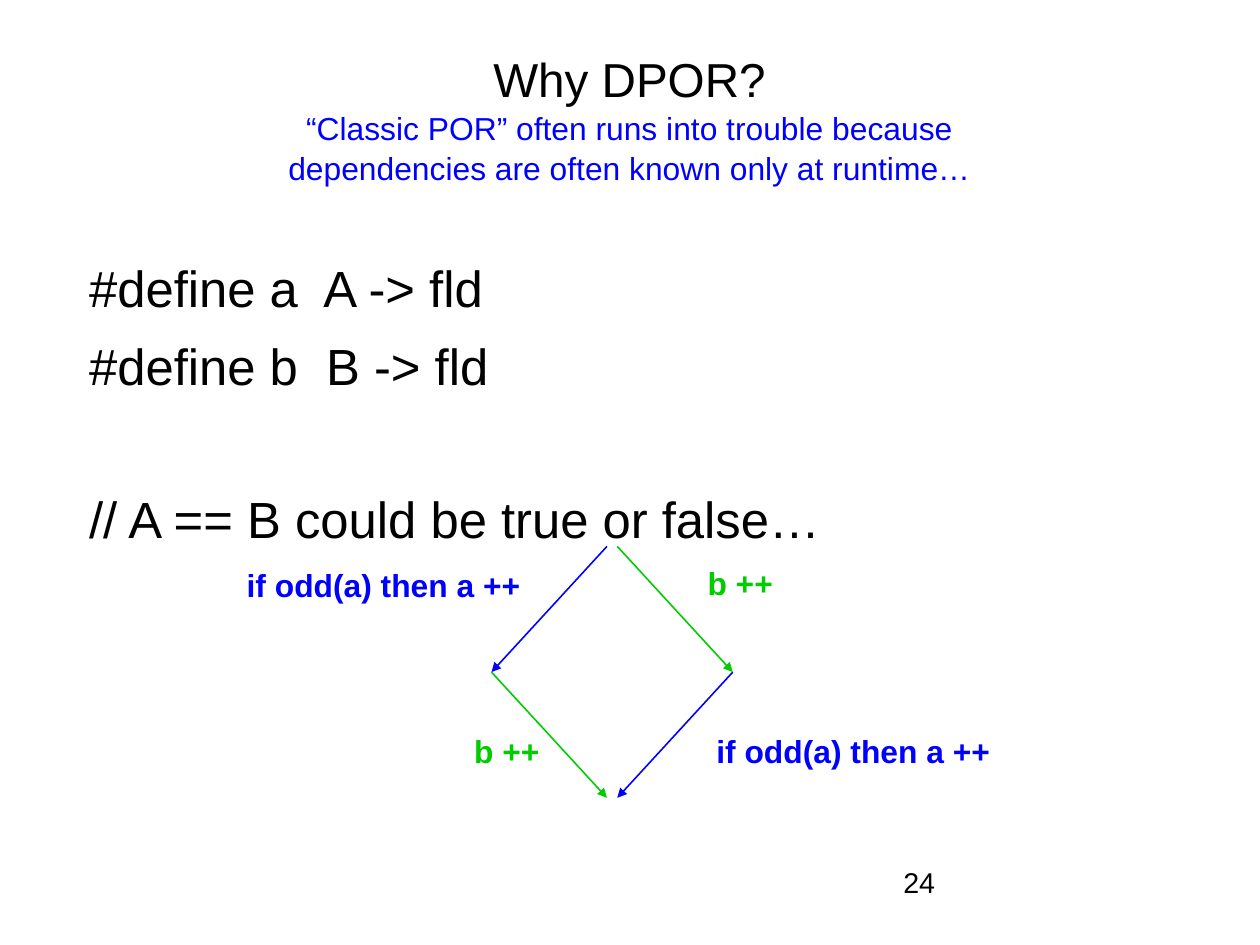
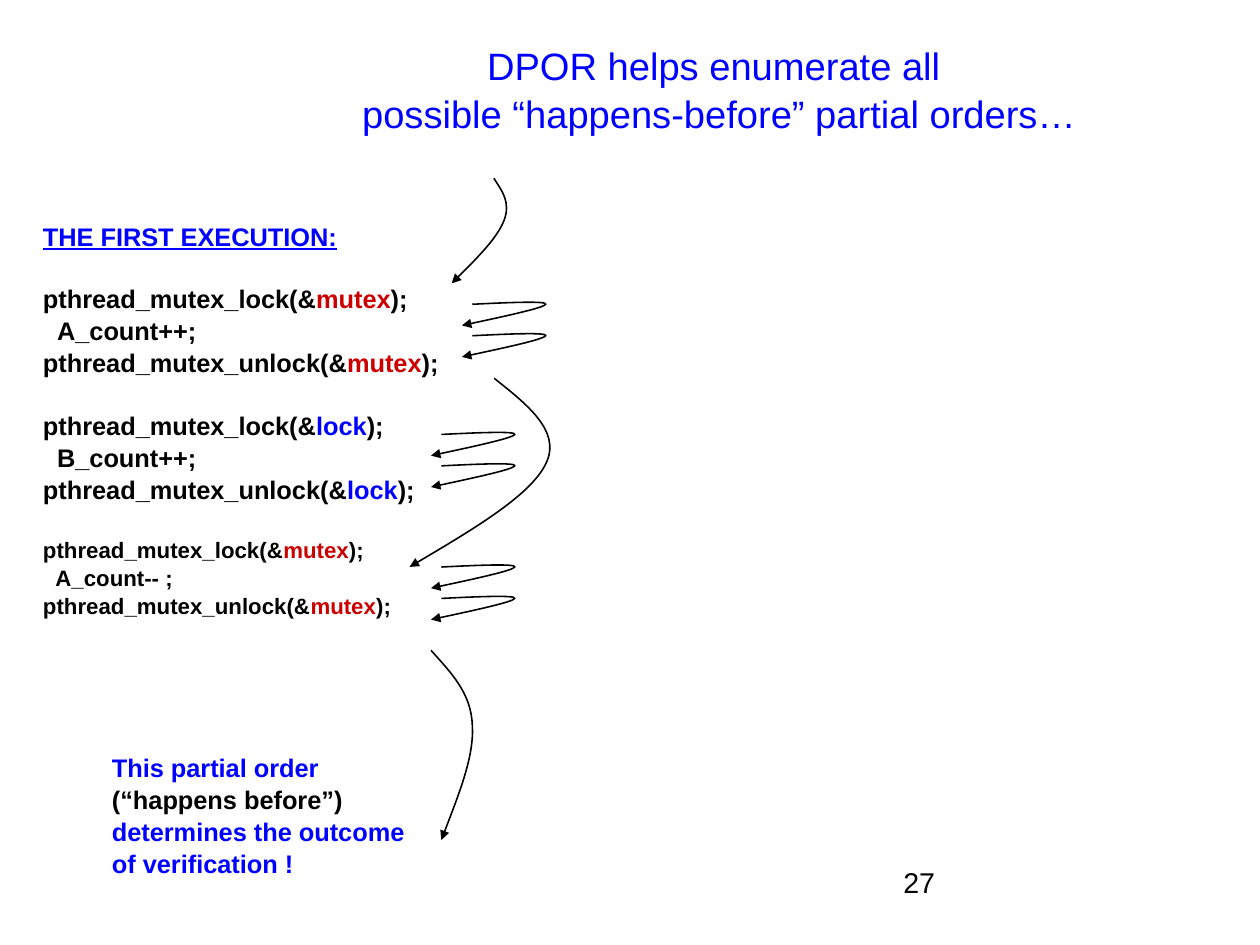
import lxml.etree
import pptx
import pptx.dml.color
import pptx.enum.shapes
import pptx.enum.text
import pptx.oxml.ns
import pptx.util

Pt = pptx.util.Pt
qn = pptx.oxml.ns.qn

COLORS = {"black": "000000", "blue": "0000FF", "green": "00CC00", "red": "CC0000"}
FONT = "Arial"
LINE_SPACING = 1.05
SLIDE_SIZE = (793.7, 595.3)
PAGE_NUMBER_BOX = (569, 544, 184, 41)

# Curves are a start point and cubic segments, relative to their top left.
LOOP = [(6.5, 2.2), (30, 1), (54, 0), (52.8, 2.2), (51.5, 4.4), (26, 10), (0, 15.5)]
LOOP_STEP = 19.8
LOOP_PAIRS = [(291, 189.5), (271.5, 271.5), (271.5, 355)]
LONG_CURVES = [
    ((284.5, 112.3), [(26.6, 0), (31.7, 8), (37.4, 15), (33, 26.6),
                      (28.8, 37.4), (14.4, 52), (0, 66.2)]),
    ((258, 238.3), [(53.3, 0), (74.2, 16.6), (95, 33), (86.4, 52.6),
                    (77.8, 72.7), (39, 95.8), (0, 118.8)]),
    ((271.5, 409.7), [(0, 0), (12.2, 13.7), (25.2, 26.6), (26, 46.8),
                      (27.4, 66.2), (16.6, 93), (6.5, 119.5)]),
]


def rgb(color):
    return pptx.dml.color.RGBColor.from_string(COLORS[color])


def add_runs(paragraph, runs, size, bold=False, underline=False):
    """Add (text, color[, size]) runs; a newline becomes a line break."""
    for text, color, *own_size in runs:
        for number, part in enumerate(text.split("\n")):
            if number:
                paragraph.add_line_break()
            run = paragraph.add_run()
            run.text = part
            run.font.name = FONT
            run.font.size = Pt(own_size[0] if own_size else size)
            run.font.bold = bold
            run.font.underline = underline
            run.font.color.rgb = rgb(color)


def set_frame(frame, inset=True):
    frame.word_wrap = True
    frame.auto_size = pptx.enum.text.MSO_AUTO_SIZE.NONE
    frame.margin_left = frame.margin_right = Pt(7.2 if inset else 0)
    frame.margin_top = frame.margin_bottom = Pt(3.6 if inset else 0)


def add_text(slide, box, paragraphs, size, bold=False, inset=True):
    """Add a text box of dicts with runs and optional size, before, indent, underline."""
    frame = slide.shapes.add_textbox(*map(Pt, box)).text_frame
    set_frame(frame, inset)
    for number, content in enumerate(paragraphs):
        paragraph = frame.add_paragraph() if number else frame.paragraphs[0]
        paragraph.line_spacing = LINE_SPACING
        paragraph.space_before = Pt(content.get("before", 0))
        if "indent" in content:
            paragraph._p.get_or_add_pPr().set("marL", str(Pt(content["indent"])))
        add_runs(paragraph, content["runs"], content.get("size", size),
                 bold, content.get("underline", False))


def add_slide(deck, title_box, title_runs, title_size, page):
    slide = deck.slides.add_slide(deck.slide_layouts[5])
    title = slide.shapes.title
    title.left, title.top, title.width, title.height = map(Pt, title_box)
    set_frame(title.text_frame)
    title.text_frame.vertical_anchor = pptx.enum.text.MSO_ANCHOR.MIDDLE
    paragraph = title.text_frame.paragraphs[0]
    paragraph.alignment = pptx.enum.text.PP_ALIGN.CENTER
    paragraph.line_spacing = LINE_SPACING
    add_runs(paragraph, title_runs, title_size)
    add_text(slide, PAGE_NUMBER_BOX, [{"runs": [(page, "black")]}], 18, inset=False)
    return slide


def style_arrow(arrow, color):
    arrow.line.color.rgb = rgb(color)
    arrow.line.width = Pt(1)
    outline = arrow._element.find(".//" + qn("a:ln"))
    lxml.etree.SubElement(outline, qn("a:tailEnd"), type="triangle")


def add_straight_arrow(slide, start, end, color):
    arrow = slide.shapes.add_connector(
        pptx.enum.shapes.MSO_CONNECTOR.STRAIGHT, *map(Pt, (*start, *end)))
    style_arrow(arrow, color)
    lxml.etree.SubElement(arrow._element.spPr, qn("a:effectLst"))


def add_curved_arrow(slide, origin, points):
    start, *rest = [(Pt(origin[0] + x), Pt(origin[1] + y)) for x, y in points]
    builder = slide.shapes.build_freeform(*start)
    builder.add_line_segments(rest, close=False)
    arrow = builder.convert_to_shape()
    arrow.shadow.inherit = False
    arrow.fill.background()
    style_arrow(arrow, "black")
    # Turn every three straight segments into one cubic segment.
    outline = arrow._element.find(".//" + qn("a:path"))
    segments = outline.findall(qn("a:lnTo"))
    for first in range(0, len(segments), 3):
        cubic = lxml.etree.SubElement(outline, qn("a:cubicBezTo"))
        for segment in segments[first:first + 3]:
            cubic.append(segment[0])
            outline.remove(segment)


def add_interleaving_diamond(slide, box):
    """Draw both orders of the two steps, as arrows down a split diamond."""
    left, top, width, height = box
    gap = 6.5
    right, bottom, middle = left + width, top + height, top + height / 2
    inner_left, inner_right = left + (width - gap) / 2, left + (width + gap) / 2
    for start, end, color in [
        ((inner_left, top), (left, middle), "blue"),
        ((right, middle), (inner_right, bottom), "blue"),
        ((inner_right, top), (right, middle), "green"),
        ((left, middle), (inner_left, bottom), "green"),
    ]:
        add_straight_arrow(slide, start, end, color)
    odd_step, plain_step = ("if odd(a) then a ++", "blue"), ("b ++", "green")
    for x, y, step, label_width in [
        (-161.3, 7.2, odd_step, 196), (129, 6.4, plain_step, 65),
        (-18, 112.3, plain_step, 65), (134.6, 112.3, odd_step, 196),
    ]:
        add_text(slide, (left + x, top + y, label_width, 32),
                 [{"runs": [step]}], 20, bold=True)


def critical_section(lock, color, statement, size, indent):
    """Return the paragraphs of one locked statement."""
    def call(name):
        return [(f"pthread_mutex_{name}(&", "black"), (lock, color), (");", "black")]

    return [
        {"runs": call("lock"), "size": size, "before": 19.3},
        {"runs": [(statement, "black")], "size": size, "indent": indent},
        {"runs": call("unlock"), "size": size},
    ]


def add_execution(slide, box):
    heading = {"runs": [("THE FIRST EXECUTION:", "blue")], "underline": True}
    add_text(slide, box, [
        heading,
        *critical_section("mutex", "red", "A_count++;", 16, 8.9),
        *critical_section("lock", "blue", "B_count++;", 16, 8.9),
        *critical_section("mutex", "red", "A_count-- ;", 14, 7.8),
    ], 16, bold=True)


def add_happens_before_arrows(slide):
    for origin, points in LONG_CURVES:
        add_curved_arrow(slide, origin, points)
    for x, y in LOOP_PAIRS:
        for row in range(2):
            add_curved_arrow(slide, (x, y + row * LOOP_STEP), LOOP)


def build_why_slide(deck):
    slide = add_slide(deck, (39.6, 23, 714, 101), [
        ("Why DPOR?\n", "black", 30),
        ("“Classic POR” often runs into trouble because\n"
         "dependencies are often known only at runtime…", "blue"),
    ], 20, "24")
    add_interleaving_diamond(slide, (309.6, 344.2, 152, 158.4))
    add_text(slide, (49, 156, 678, 231), [
        {"runs": [("#define a  A -> fld", "black")]},
        {"runs": [("#define b  B -> fld", "black")], "before": 9},
        {"runs": [("// A == B could be true or false…", "black")], "before": 56},
    ], 32)


def build_orders_slide(deck):
    slide = add_slide(deck, (158.4, 20, 589, 71), [
        ("DPOR helps enumerate all \npossible “happens-before” partial orders…", "blue"),
    ], 24, "27")
    add_execution(slide, (20, 134.6, 330, 250))
    add_happens_before_arrows(slide)
    add_text(slide, (63.4, 469.5, 205, 84), [
        {"runs": [("This partial order", "blue")]},
        {"runs": [("(“happens before”)", "black")]},
        {"runs": [("determines the outcome", "blue")]},
        {"runs": [("of verification !", "blue")]},
    ], 16, bold=True)


def main():
    deck = pptx.Presentation()
    deck.slide_width, deck.slide_height = map(Pt, SLIDE_SIZE)
    build_why_slide(deck)
    build_orders_slide(deck)
    deck.save("out.pptx")


if __name__ == "__main__":
    main()
